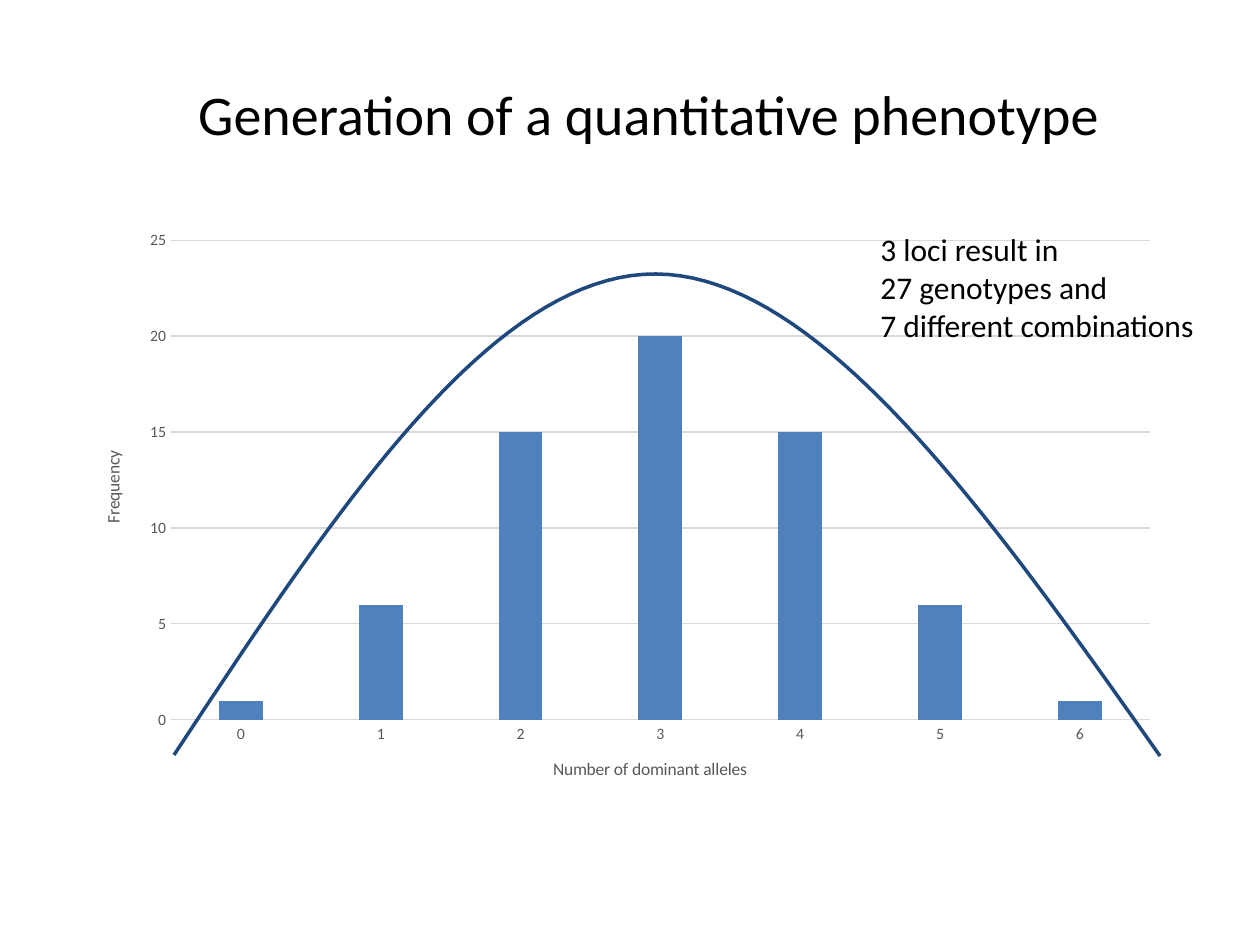
from pptx import Presentation
from pptx.chart.data import CategoryChartData
from pptx.dml.color import RGBColor
from pptx.enum.chart import XL_CHART_TYPE, XL_TICK_MARK
from pptx.enum.text import PP_ALIGN
from pptx.oxml import parse_xml
from pptx.oxml.ns import nsdecls
from pptx.util import Pt

PX = 914400 / 126
FONT = "Calibri"
BLACK = RGBColor(0x00, 0x00, 0x00)
GRAY = RGBColor(0x59, 0x59, 0x59)
GRID = RGBColor(0xD9, 0xD9, 0xD9)
BAR = RGBColor(0x4F, 0x81, 0xBD)
CURVE = RGBColor(0x1F, 0x49, 0x7D)

TITLE = "Generation of a quantitative phenotype"
NOTE = ["3 loci result in", "27 genotypes and", "7 different combinations"]
ALLELES = [0, 1, 2, 3, 4, 5, 6]
FREQUENCIES = [1, 6, 15, 20, 15, 6, 1]
CATEGORY_TITLE = "Number of dominant alleles"
VALUE_TITLE = "Frequency"
PLOT_LAYOUT = {"x": 0.07, "y": 0.01, "w": 0.91, "h": 0.85}
PLOT_LAYOUT = {"x": 0.071, "y": 0.014, "w": 0.914, "h": 0.848}
BELL = [  # cubic segments: start, two controls, end
    [(174, 755), (333, 514), (491, 273), (656, 274)],
    [(656, 274), (820, 275), (990, 515), (1160, 756)],
]
STEPS = 40


def emu(*lengths):
    return [round(length * PX) for length in lengths]


def style(font, size, color):
    font.name, font.size, font.bold = FONT, Pt(size), False
    font.color.rgb = color


def add_text(page, place, lines, size, align, wrap):
    box = page.shapes.add_textbox(*emu(*place))
    box.text_frame.word_wrap = wrap
    paragraph = box.text_frame.paragraphs[0]
    paragraph.alignment = align
    for index, line in enumerate(lines):
        if index:
            paragraph.add_line_break()
        span = paragraph.add_run()
        span.text = line
        style(span.font, size, BLACK)


def style_axis(axis, title, rotation):
    axis.major_tick_mark = axis.minor_tick_mark = XL_TICK_MARK.NONE
    style(axis.tick_labels.font, 9, GRAY)
    span = axis.axis_title.text_frame.paragraphs[0].add_run()
    span.text = title
    style(span.font, 10, GRAY)
    body = axis.axis_title.text_frame._txBody.bodyPr
    body.set("rot", str(rotation))
    body.set("vert", "horz")


def set_plot_layout(chart):
    """Fix the inner plot area as fractions of the chart."""
    plot_area = chart._chartSpace.chart.plotArea
    for old in plot_area.xpath("c:layout"):
        plot_area.remove(old)
    parts = "".join(f'<c:{key}Mode val="edge"/>' for key in "xy")
    parts += "".join(f'<c:{key} val="{value}"/>' for key, value in PLOT_LAYOUT.items())
    plot_area.insert(0, parse_xml(
        f'<c:layout {nsdecls("c")}><c:manualLayout><c:layoutTarget val="inner"/>'
        f"{parts}</c:manualLayout></c:layout>"))


def add_frequency_chart(page):
    data = CategoryChartData()
    data.categories = ALLELES
    data.add_series("Series 1", FREQUENCIES)
    chart = page.shapes.add_chart(
        XL_CHART_TYPE.COLUMN_CLUSTERED, *emu(95, 231, 1071, 567), data).chart
    chart.has_legend = chart.has_title = False
    style(chart.font, 10, BLACK)

    plot = chart.plots[0]
    plot.gap_width, plot.overlap = 219, -27
    plot.vary_by_categories = False
    fill = plot.series[0].format.fill
    fill.solid()
    fill.fore_color.rgb = BAR

    style_axis(chart.category_axis, CATEGORY_TITLE, 0)
    style_axis(chart.value_axis, VALUE_TITLE, -5400000)
    values = chart.value_axis
    values.minimum_scale, values.maximum_scale, values.major_unit = 0, 25, 5
    values.format.line.fill.background()
    for line in (chart.category_axis.format.line, values.major_gridlines.format.line):
        line.color.rgb = GRID
        line.width = Pt(0.75)
    set_plot_layout(chart)


def bezier(points, t):
    weights = [(1 - t) ** 3, 3 * t * (1 - t) ** 2, 3 * t ** 2 * (1 - t), t ** 3]
    return tuple(emu(*(sum(w * p[axis] for w, p in zip(weights, points))
                       for axis in (0, 1))))


def add_bell_curve(page):
    points = [bezier(segment, step / STEPS)
              for segment in BELL for step in range(1, STEPS + 1)]
    builder = page.shapes.build_freeform(*emu(*BELL[0][0]))
    builder.add_line_segments(points, close=False)
    curve = builder.convert_to_shape()
    curve.shadow.inherit = False
    curve.fill.background()
    curve.line.color.rgb = CURVE
    curve.line.width = Pt(2)


def main():
    deck = Presentation()
    deck.slide_width, deck.slide_height = emu(1260, 945)
    page = deck.slides.add_slide(deck.slide_layouts[6])
    add_text(page, (63, 73, 1172, 136), [TITLE], 32, PP_ALIGN.CENTER, True)
    add_frequency_chart(page)
    add_bell_curve(page)
    add_text(page, (868, 224, 363, 127), NOTE, 18, PP_ALIGN.LEFT, False)
    deck.save("out.pptx")


if __name__ == "__main__":
    main()
